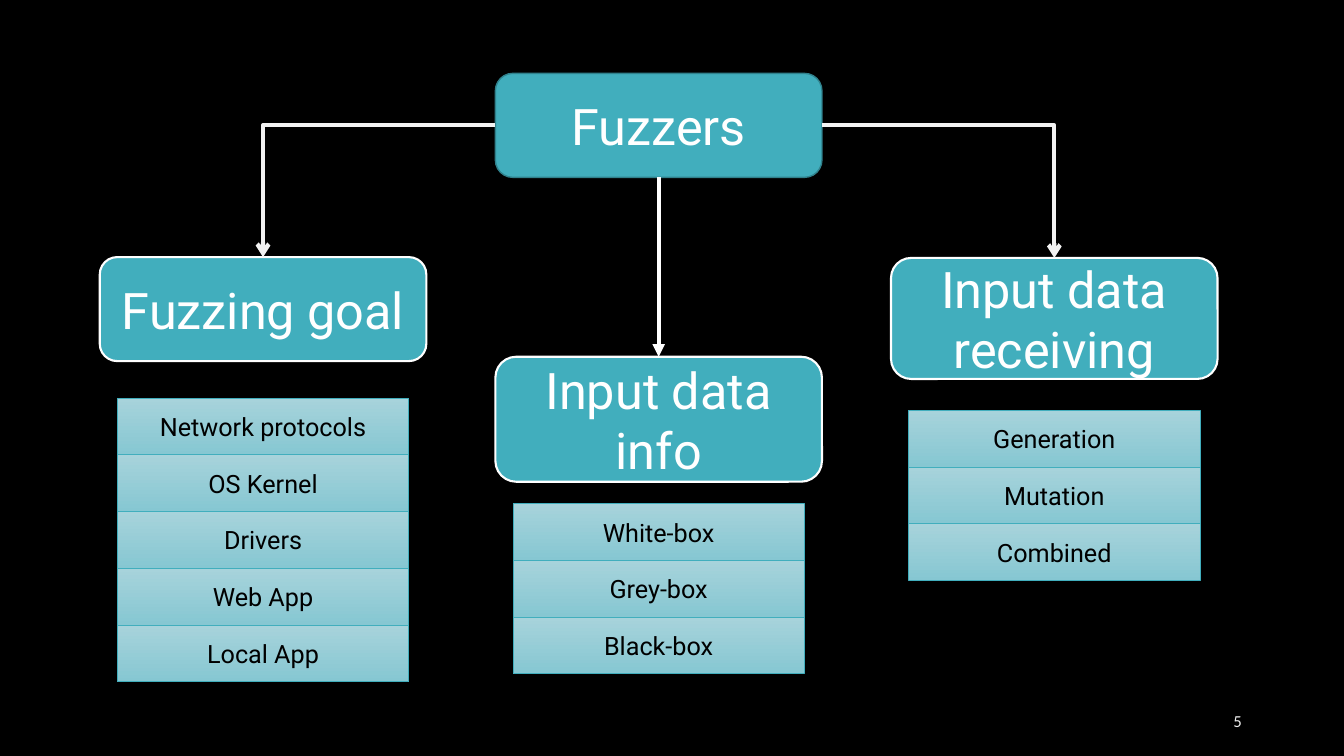
from lxml import etree
from pptx import Presentation
from pptx.dml.color import RGBColor
from pptx.enum.shapes import MSO_CONNECTOR, MSO_SHAPE
from pptx.enum.text import MSO_ANCHOR, PP_ALIGN
from pptx.oxml.ns import qn
from pptx.util import Cm, Pt

ROUNDED, RECTANGLE = MSO_SHAPE.ROUNDED_RECTANGLE, MSO_SHAPE.RECTANGLE
ELBOW, STRAIGHT = MSO_CONNECTOR.ELBOW, MSO_CONNECTOR.STRAIGHT
CENTER, RIGHT = PP_ALIGN.CENTER, PP_ALIGN.RIGHT
MIDDLE = MSO_ANCHOR.MIDDLE
TOP_SITE, LEFT_SITE, BOTTOM_SITE, RIGHT_SITE = range(4)

# Content
ROOT = "Fuzzers"
PAGE_NUMBER = "5"
BRANCHES = [
    {"title": "Fuzzing goal", "top": 6.48, "height": 2.62, "list_top": 10.03,
     "items": ["Network protocols", "OS Kernel", "Drivers", "Web App", "Local App"],
     "exit": LEFT_SITE, "route": ELBOW, "color": "pale", "arrow": "arrow"},
    {"title": "Input data info", "top": 8.99, "height": 3.15, "list_top": 12.69,
     "items": ["White-box", "Grey-box", "Black-box"],
     "exit": BOTTOM_SITE, "route": STRAIGHT, "color": "white", "arrow": "triangle"},
    {"title": "Input data receiving", "top": 6.5, "height": 3.05, "list_top": 10.34,
     "items": ["Generation", "Mutation", "Combined"],
     "exit": RIGHT_SITE, "route": ELBOW, "color": "pale", "arrow": "arrow"},
]
COLORS = {"black": "000000", "white": "FFFFFF", "pale": "F2F2F2", "number": "EDEDED",
          "teal": "41AEBD", "dark_teal": "30818C",
          "item_top": "A7D3DB", "item_bottom": "86C7D2"}

# Layout in centimetres
FIRST_CENTER, COLUMN_PITCH = 6.63, 9.97
HEAD_WIDTH, ITEM_WIDTH, ITEM_HEIGHT = 8.23, 7.34, 1.43
ROOT_TOP, ROOT_HEIGHT = 1.85, 2.62


def color(name):
    return RGBColor.from_string(COLORS[name])


def write(shape, text, size, font, ink, align=CENTER):
    frame = shape.text_frame
    frame.word_wrap = True
    frame.vertical_anchor = MIDDLE
    para = frame.paragraphs[0]
    para.alignment = align
    span = para.add_run()
    span.text = text
    span.font.size = Pt(size)
    span.font.name = font
    span.font.color.rgb = color(ink)


def add_box(page, kind, center, top, width, height, outline, weight):
    box = page.shapes.add_shape(kind, Cm(center - width / 2), Cm(top),
                                Cm(width), Cm(height))
    box.shadow.inherit = False
    box.line.color.rgb = color(outline)
    box.line.width = Pt(weight)
    return box


def add_head(page, text, center, top, height, outline, weight):
    head = add_box(page, ROUNDED, center, top, HEAD_WIDTH, height, outline, weight)
    head.fill.solid()
    head.fill.fore_color.rgb = color("teal")
    write(head, text, 36, "Roboto", "white")
    return head


def add_item(page, text, center, top):
    item = add_box(page, RECTANGLE, center, top, ITEM_WIDTH, ITEM_HEIGHT, "teal", 0.5)
    item.fill.gradient()
    item.fill.gradient_angle = 270
    for stop, name in zip(item.fill.gradient_stops, ("item_top", "item_bottom")):
        stop.color.rgb = color(name)
    write(item, text, 18, "Roboto", "black")


def add_arrow(page, root, head, branch):
    arrow = page.shapes.add_connector(branch["route"], 0, 0, 0, 0)
    arrow.begin_connect(root, branch["exit"])
    arrow.end_connect(head, TOP_SITE)
    arrow.line.color.rgb = color(branch["color"])
    arrow.line.width = Pt(3)
    properties = arrow._element.spPr
    # A single bend instead of the default double bend
    if branch["route"] == ELBOW:
        properties.find(qn("a:prstGeom")).set("prst", "bentConnector2")
    outline = properties.find(qn("a:ln"))
    etree.SubElement(outline, qn("a:tailEnd")).set("type", branch["arrow"])
    etree.SubElement(properties, qn("a:effectLst"))


def main():
    deck = Presentation()
    deck.slide_width, deck.slide_height = Cm(33.87), Cm(19.05)
    page = deck.slides.add_slide(deck.slide_layouts[6])
    page.background.fill.solid()
    page.background.fill.fore_color.rgb = color("black")

    # Page number
    number = page.shapes.add_textbox(Cm(23.93), Cm(17.65), Cm(7.62), Cm(1.02))
    write(number, PAGE_NUMBER, 12, "Calibri", "number", RIGHT)

    # Root, then each branch with its arrow and list
    root = add_head(page, ROOT, FIRST_CENTER + COLUMN_PITCH, ROOT_TOP, ROOT_HEIGHT,
                    "dark_teal", 1)
    for column, branch in enumerate(BRANCHES):
        center = FIRST_CENTER + column * COLUMN_PITCH
        head = add_head(page, branch["title"], center, branch["top"], branch["height"],
                        "white", 1.5)
        add_arrow(page, root, head, branch)
        for row, text in enumerate(branch["items"]):
            add_item(page, text, center, branch["list_top"] + row * ITEM_HEIGHT)

    deck.save("out.pptx")


if __name__ == "__main__":
    main()
